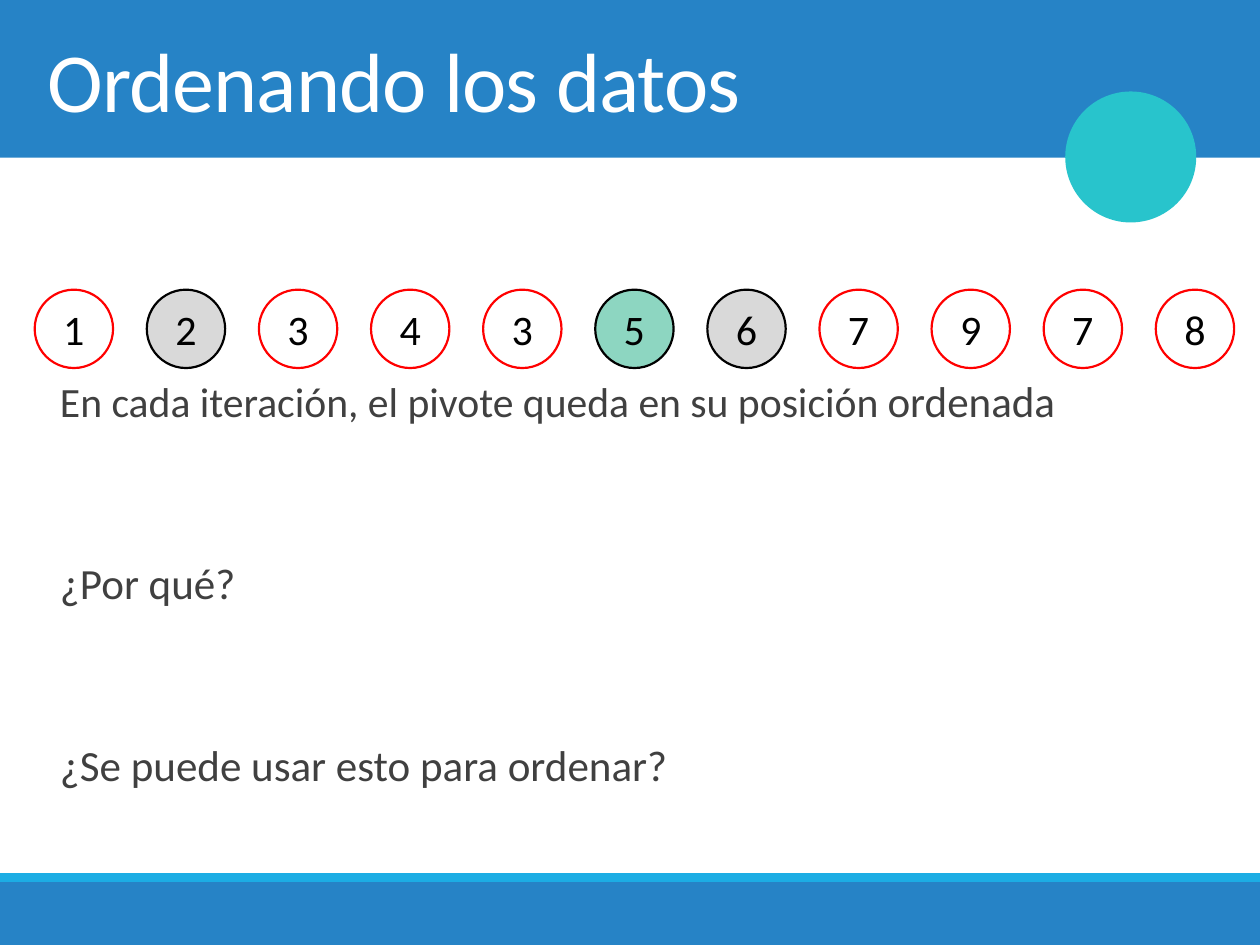
from pptx import Presentation
from pptx.dml.color import RGBColor
from pptx.enum.shapes import MSO_SHAPE
from pptx.enum.text import MSO_ANCHOR, PP_ALIGN
from pptx.util import Cm, Pt

RECTANGLE, OVAL = MSO_SHAPE.RECTANGLE, MSO_SHAPE.OVAL
TOP, MIDDLE = MSO_ANCHOR.TOP, MSO_ANCHOR.MIDDLE
CENTER = PP_ALIGN.CENTER

COLORS = {
    "blue": "2683C6", "sky": "1CADE4", "teal": "28C4CC", "white": "FFFFFF",
    "black": "000000", "red": "FF0000", "grey": "D9D9D9", "green": "8DD6C1",
    "body": "404040",
}
# Fill and outline of each kind of number
STYLES = {
    "pending": ("white", "red"),
    "sorted": ("grey", "black"),
    "pivot": ("green", "black"),
}
NUMBERS = [
    (1, "pending"), (2, "sorted"), (3, "pending"), (4, "pending"),
    (3, "pending"), (5, "pivot"), (6, "sorted"), (7, "pending"),
    (9, "pending"), (7, "pending"), (8, "pending"),
]
BODY = [
    [("En cada iteración, el pivote queda en su posición ", 23.8), ("ordenada", 24.6)],
    [("¿Por qué?", 24.6)],
    [("¿Se puede usar esto para ordenar?", 24.6)],
]


def color(name):
    return RGBColor.from_string(COLORS[name])


def set_format(target, values):
    for name, value in values.items():
        setattr(target, name, value)


def add_run(paragraph, text, size, color_name):
    run = paragraph.add_run()
    run.text = text
    set_format(run.font, {"name": "Calibri", "size": Pt(size)})
    run.font.color.rgb = color(color_name)
    return run


def add_shape(slide, kind, box, fill, line=None, width=1.25):
    shape = slide.shapes.add_shape(kind, *map(Cm, box))
    shape.shadow.inherit = False
    shape.fill.solid()
    shape.fill.fore_color.rgb = color(fill)
    if line:
        shape.line.color.rgb = color(line)
        shape.line.width = Pt(width)
    else:
        shape.line.fill.background()
    return shape


def add_number(slide, left, number, style):
    shape = add_shape(slide, OVAL, (left, 5.84, 1.58, 1.58), *STYLES[style])
    set_format(shape.text_frame, {
        "vertical_anchor": MIDDLE, "word_wrap": False,
        "margin_left": 0, "margin_right": 0,
    })
    paragraph = shape.text_frame.paragraphs[0]
    paragraph.alignment = CENTER
    add_run(paragraph, str(number), 24, "black")


def add_text_frame(slide, box, values):
    frame = slide.shapes.add_textbox(*map(Cm, box)).text_frame
    set_format(frame, {"word_wrap": True, **values})
    return frame


def add_title(slide, text):
    frame = add_text_frame(slide, (0.71, 0, 24, 3.18), {"vertical_anchor": MIDDLE})
    run = add_run(frame.paragraphs[0], text, 48, "white")
    run.font._element.set("spc", "-50")


def add_body(slide, paragraphs):
    frame = add_text_frame(slide, (0.71, 3.73, 24, 13.2), {
        "vertical_anchor": TOP, "margin_left": Cm(0.5), "margin_top": Cm(3.81),
    })
    for index, runs in enumerate(paragraphs):
        paragraph = frame.add_paragraph() if index else frame.paragraphs[0]
        paragraph.space_before = Pt(74.6 if index else 0)
        for text, size in runs:
            add_run(paragraph, text, size, "body")


def main():
    presentation = Presentation()
    set_format(presentation, {"slide_width": Cm(25.4), "slide_height": Cm(19.05)})
    slide = presentation.slides.add_slide(presentation.slide_layouts[6])

    # Header, footer and accent circle
    add_shape(slide, RECTANGLE, (0, 0, 25.4, 3.18), "blue")
    add_shape(slide, RECTANGLE, (0, 17.78, 25.4, 1.27), "blue")
    add_shape(slide, RECTANGLE, (0, 17.6, 25.4, 0.18), "sky")
    add_shape(slide, OVAL, (21.51, 1.88, 2.57, 2.57), "teal", "teal", 2)

    # Title and statements
    add_title(slide, "Ordenando los datos")
    add_body(slide, BODY)

    # Row of numbers
    for index, (number, style) in enumerate(NUMBERS):
        add_number(slide, 0.7 + 2.26 * index, number, style)

    presentation.save("out.pptx")


if __name__ == "__main__":
    main()
